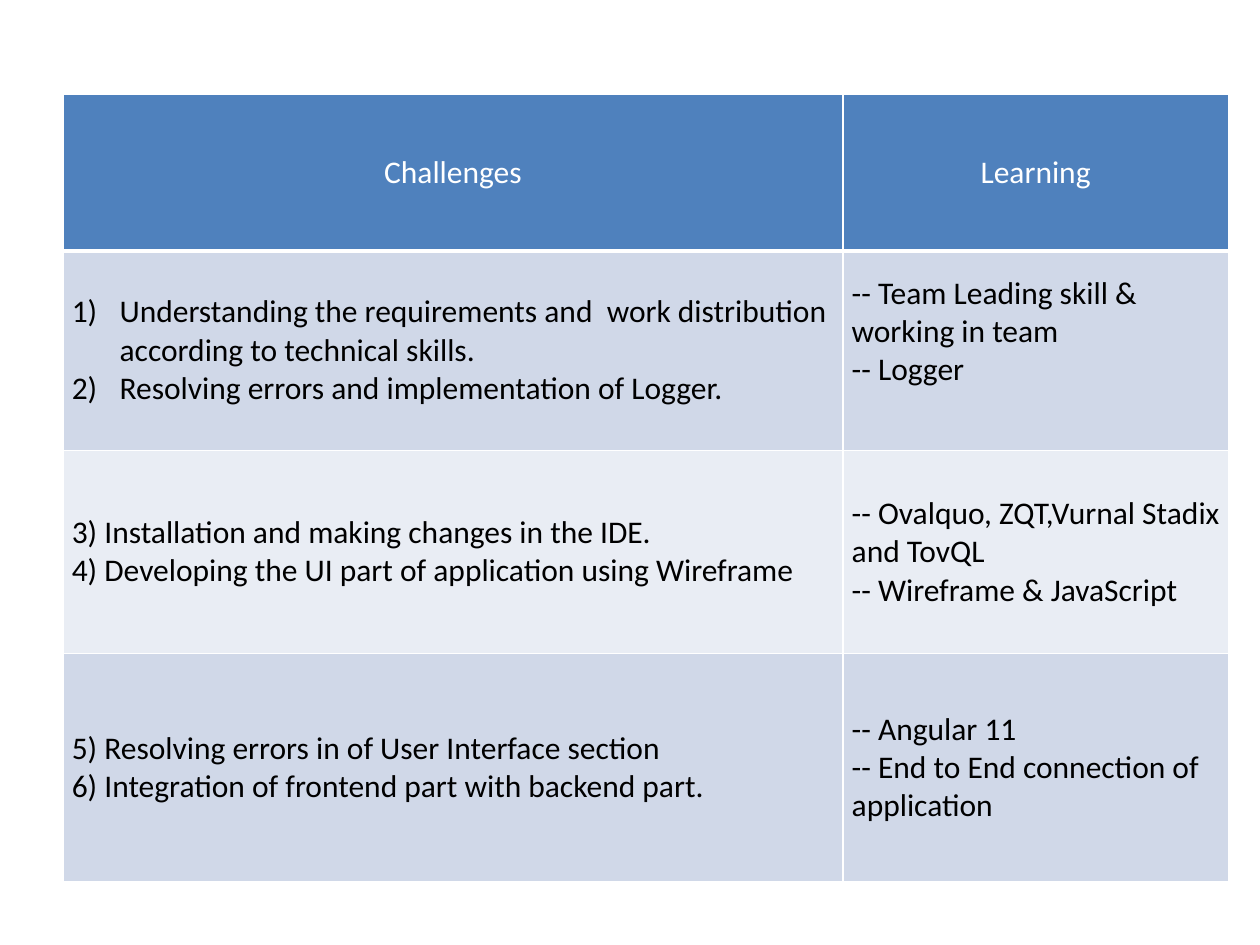
from pptx import Presentation
from pptx.dml.color import RGBColor
from pptx.enum.text import MSO_ANCHOR, PP_ALIGN
from pptx.oxml.ns import qn
from pptx.util import Inches, Pt
from lxml.etree import SubElement

COLORS = {"header": "4F81BD", "odd": "D0D8E8", "even": "E9EDF4",
          "light": "FFFFFF", "dark": "000000"}
FONT = "Calibri"
COLUMNS = [6.19, 3.06]
ROWS = [1.24, 1.58, 1.61, 1.81]
HANGING = Inches(0.38)
CONTENT = [
    ("Challenges", "Learning"),
    ("Understanding the requirements and  work distribution according to technical skills.\n"
     "Resolving errors and implementation of Logger.",
     "-- Team Leading skill & working in team\n-- Logger"),
    ("3) Installation and making changes in the IDE.\n"
     "4) Developing the UI part of application using Wireframe",
     "-- Ovalquo, ZQT,Vurnal Stadix and TovQL\n-- Wireframe & JavaScript"),
    ("5) Resolving errors in of User Interface section\n"
     "6) Integration of frontend part with backend part.",
     "-- Angular 11\n-- End to End connection of application"),
]


def set_borders(cell, bottom_width):
    properties = cell._tc.get_or_add_tcPr()
    widths = {"a:lnL": 1, "a:lnR": 1, "a:lnT": 1, "a:lnB": bottom_width}
    for position, (tag, width) in enumerate(widths.items()):
        line = SubElement(properties, qn(tag), w=str(Pt(width)))
        fill = SubElement(line, qn("a:solidFill"))
        SubElement(fill, qn("a:srgbClr"), val=COLORS["light"])
        properties.insert(position, line)


def number_paragraph(para):
    properties = para._p.get_or_add_pPr()
    properties.set("marL", str(HANGING))
    properties.set("indent", str(-HANGING))
    SubElement(properties, qn("a:buFont"), typeface="+mj-lt")
    SubElement(properties, qn("a:buAutoNum"), type="arabicParenR")


def style_cell(cell, text, fill, is_header):
    cell.text_frame.text = text
    cell.vertical_anchor = MSO_ANCHOR.MIDDLE
    cell.margin_left = cell.margin_right = Inches(0.07)
    cell.margin_top = cell.margin_bottom = Inches(0.05)
    cell.fill.solid()
    cell.fill.fore_color.rgb = RGBColor.from_string(COLORS[fill])
    set_borders(cell, 3 if is_header else 1)
    for para in cell.text_frame.paragraphs:
        para.alignment = PP_ALIGN.CENTER if is_header else PP_ALIGN.LEFT
        for span in para.runs:
            span.font.name = FONT
            span.font.size = Pt(18)
            span.font.bold = False
            span.font.color.rgb = RGBColor.from_string(
                COLORS["light" if is_header else "dark"])


def add_challenge_table(page, left, top, width, height):
    table = page.shapes.add_table(
        len(ROWS), len(COLUMNS), left, top, width, height).table
    for column, share in zip(table.columns, COLUMNS):
        column.width = int(width * share / sum(COLUMNS))
    for row, share in zip(table.rows, ROWS):
        row.height = int(height * share / sum(ROWS))
    for row_index, texts in enumerate(CONTENT):
        is_header = row_index == 0
        fill = "header" if is_header else ("even", "odd")[row_index % 2]
        for column_index, text in enumerate(texts):
            style_cell(table.cell(row_index, column_index), text, fill, is_header)
    for para in table.cell(1, 0).text_frame.paragraphs:
        number_paragraph(para)
    table.cell(1, 1).margin_bottom = Inches(0.35)


def main():
    deck = Presentation()
    deck.slide_width, deck.slide_height = Inches(10), Inches(7.5)
    page = deck.slides.add_slide(deck.slide_layouts[6])
    add_challenge_table(page, Inches(0.5), Inches(0.75), Inches(9.25), Inches(6.25))
    deck.save("out.pptx")


if __name__ == "__main__":
    main()
